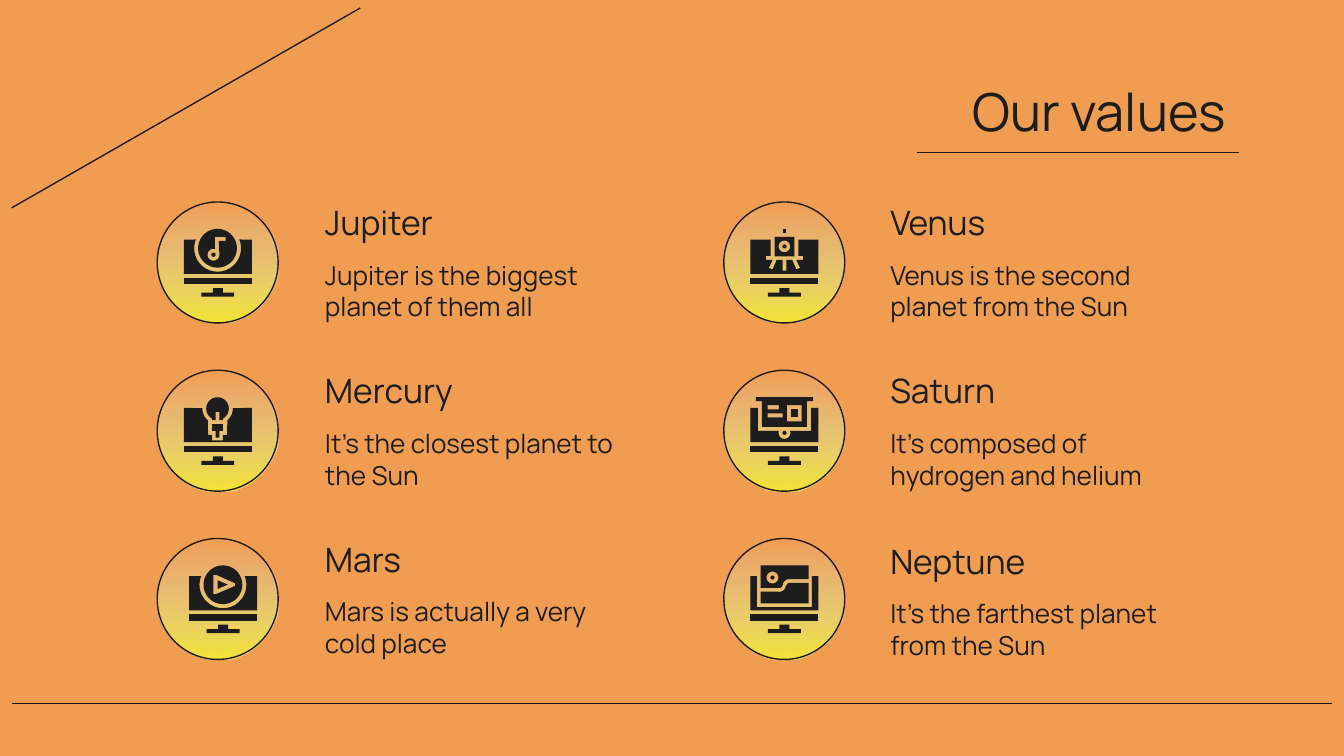
from math import cos, radians, sin

from lxml import etree
from pptx import Presentation
from pptx import util as u
from pptx.dml.color import RGBColor
from pptx.enum import shapes, text
from pptx.oxml.ns import qn

COLORS = {"back": "F19D51", "ink": "1D1D1D", "rule": "141414", "pale": "CCE9E9", "glow": "F4E533"}
FONT = "Manrope"
WIDTH = u.Inches(10)
HEIGHT = u.Emu(WIDTH * 9 // 16)
CELL = WIDTH / 100
ICON_SIDE = 5.02
ICON_UNITS = 50

VALUES = [
    [("Jupiter", "Jupiter is the biggest planet of them all", "music"),
     ("Mercury", "It’s the closest planet to the Sun", "bulb"),
     ("Mars", "Mars is actually a very cold place", "play")],
    [("Venus", "Venus is the second planet from the Sun", "easel"),
     ("Saturn", "It’s composed of hydrogen and helium", "board"),
     ("Neptune", "It’s the farthest planet from the Sun", "photo")],
]


def cells(count):
    """Turn grid cells into slide units."""
    return u.Emu(round(count * CELL))


def color(key):
    """Look up a colour by its role."""
    return RGBColor.from_string(COLORS[key])


def arc(x, y, radius, start=0, end=360):
    """Give the points of an arc, with angles running clockwise."""
    steps = max(6, round(abs(end - start) / 10))
    angles = [radians(start + (end - start) * i / steps) for i in range(steps + 1)]
    return [(x + radius * cos(a), y + radius * sin(a)) for a in angles]


def rect(left, top, right, bottom):
    """Give the corners of a rectangle."""
    return [(left, top), (left, bottom), (right, bottom), (right, top)]


def mirrored(half, axis=25.2):
    """Complete an outline with its reflection across a vertical axis."""
    return half + [(2 * axis - x, y) for x, y in reversed(half)]


def screen(notch):
    """Give a monitor panel whose top edge follows a notch from right to left."""
    return rect(0, 8, 50.4, 33.3) + notch


STAND = [[mirrored([(21.5, 44), (21.5, 47.3), (13, 47.3), (13, 50.2)])],
         [rect(0, 36.2, 50.4, 41)]]
BADGE = arc(25, 14.4, 14.4)
BADGE_SCREEN = screen(arc(25, 14.4, 17.4, -22, 202))

ICONS = {
    "music": [
        [BADGE, [(31, 6), (31, 9), (26, 9)] + arc(22, 19.2, 4.4, 0, 285) + [(23, 6)]],
        [arc(22, 19.2, 1.6)],
        [BADGE_SCREEN]],
    "play": [
        [BADGE, [(20, 7), (34, 13.3), (34, 15.3), (20, 21.3), (18, 21.3), (18, 7)]],
        [[(21, 11), (21, 17.5), (28.6, 14.3)]],
        [BADGE_SCREEN]],
    "bulb": [
        [arc(25, 8.5, 8.4, 120, 420) + [(29, 17), (26.4, 17), (26.4, 11), (23.6, 11), (23.6, 17), (21, 17)]],
        [mirrored([(21, 20), (21, 25), (23.6, 25), (23.6, 30)], 25)],
        [screen(arc(25, 8.5, 11.3, -2, 50)
                + mirrored([(32, 28), (29, 28), (29, 32)], 25)
                + arc(25, 8.5, 11.3, 130, 182))]],
    "easel": [
        [rect(23.8, 0, 26.6, 3)],
        [arc(25.2, 13, 1.5)],
        [rect(18, 6, 32.5, 20.3), arc(25.2, 13, 4.3)],
        [screen(mirrored([(35.5, 8), (35.5, 20), (39, 20), (39, 23), (34, 23),
                          (36.8, 29), (34, 30), (31, 23), (26.6, 23), (26.6, 31)]))]],
    "board": [
        [mirrored([(4, 0), (4, 3), (8.5, 3), (8.5, 22)]),
         rect(12.7, 6, 21, 9), rect(12.7, 12, 23.8, 15), rect(27, 6, 38, 18)],
        [rect(29.8, 9, 35, 15)],
        [arc(25.2, 26.5, 1.5)],
        [screen([(45, 8), (45, 25)] + arc(25.2, 26.5, 4.4, -20, 200) + [(5.6, 25), (5.6, 8)])]],
    "photo": [
        [screen([(45.6, 8), (45.6, 31), (4.8, 31), (4.8, 8)])],
        [arc(16.3, 9, 1.5)],
        [[(28.5, 13)] + arc(28.5, 15, 1.8, 270, 180) + arc(21.5, 15, 4.6, 0, 90)
         + [(7.6, 19.5), (7.6, 28.2), (43, 28.2), (43, 13)]],
        [[(7.6, 0), (7.6, 16.6)] + arc(21.8, 14.8, 1.8, 90, 0)
         + arc(28.5, 14.8, 4.6, 180, 270) + [(43, 10.2), (43, 0)], arc(16.3, 9, 4.4)]],
}


def add_words(slide, box, words, size, align=text.PP_ALIGN.LEFT):
    """Write one paragraph in the given box."""
    frame = slide.shapes.add_textbox(*map(cells, box)).text_frame
    frame.word_wrap = True
    frame.vertical_anchor = text.MSO_ANCHOR.MIDDLE
    for side in ("left", "right", "top", "bottom"):
        setattr(frame, f"margin_{side}", cells(1))
    paragraph = frame.paragraphs[0]
    paragraph.alignment = align
    run = paragraph.add_run()
    run.text = words
    run.font.name = FONT
    run.font.size = u.Pt(size)
    run.font.color.rgb = color("ink")


def add_rule(slide, start, end, key="ink"):
    """Draw a thin straight rule."""
    rule = slide.shapes.add_connector(shapes.MSO_CONNECTOR.STRAIGHT, *map(cells, start + end))
    rule.line.color.rgb = color(key)
    rule.line.width = u.Pt(0.75)
    etree.SubElement(rule._element.spPr, qn("a:effectLst"))


def add_disc(slide, box):
    """Draw the outlined disc that fades in from clear to yellow."""
    disc = slide.shapes.add_shape(shapes.MSO_SHAPE.OVAL, *map(cells, box))
    disc.shadow.inherit = False
    disc.fill.gradient()
    disc.fill.gradient_angle = 270
    for stop, key, place in zip(disc.fill.gradient_stops, ("pale", "glow"), (0, 1)):
        stop.color.rgb = color(key)
        stop.position = place
    clear = next(disc._element.spPr.iter(qn("a:srgbClr")))
    etree.SubElement(clear, qn("a:alpha"), val="0")
    disc.line.color.rgb = color("ink")
    disc.line.width = u.Pt(0.75)


def add_icon(slide, box, icon):
    """Draw a monitor icon inside the given box."""
    left, top, side, _ = box
    unit = side / ICON_UNITS
    for part in STAND + ICONS[icon]:
        outlines = [[(cells(left + x * unit), cells(top + y * unit)) for x, y in outline]
                    for outline in part]
        builder = slide.shapes.build_freeform(*outlines[0][0])
        builder.add_line_segments(outlines[0][1:])
        for hole in outlines[1:]:
            builder.move_to(*hole[0])
            builder.add_line_segments(hole[1:])
        piece = builder.convert_to_shape()
        piece.shadow.inherit = False
        piece.fill.solid()
        piece.fill.fore_color.rgb = color("ink")
        piece.line.fill.background()


def add_value(slide, box, value, icon_shift=0, text_shift=0):
    """Place one value: disc, icon, heading and sentence."""
    left, top, width, height = box
    heading, sentence, icon = value
    text_width = 23.6
    text_left = left + width - text_width
    add_disc(slide, (left, top, height, height))
    add_icon(slide, (left + 1.98 + icon_shift, top + 2, ICON_SIDE, ICON_SIDE), icon)
    add_words(slide, (text_left, top - 0.35 + text_shift, text_width, 3.7), heading, 18)
    add_words(slide, (text_left, top + 3.95 + text_shift, text_width, 5.3), sentence, 14)


def add_header(slide, box):
    """Place the title and the rule below it."""
    left, top, width, height = box
    add_words(slide, box, "Our values", 28, text.PP_ALIGN.RIGHT)
    add_rule(slide, (left + 18.2, top + height - 0.05), (left + width, top + height - 0.05))


def add_frame(slide):
    """Place the background and its two long rules."""
    slide.background.fill.solid()
    slide.background.fill.fore_color.rgb = color("back")
    add_rule(slide, (0.9, 52.33), (99.1, 52.33), "rule")
    add_rule(slide, (26.8, 0.6), (0.87, 15.47))


def main():
    """Build the slide of values."""
    deck = Presentation()
    deck.slide_width, deck.slide_height = WIDTH, HEIGHT
    slide = deck.slides.add_slide(deck.slide_layouts[6])
    add_frame(slide)
    add_header(slide, (50, 5.1, 42.2, 6.3))
    for left, width, column in zip((11.7, 53.86), (35.1, 35), VALUES):
        for row, value in enumerate(column):
            add_value(slide, (left, 15.03 + 12.52 * row, width, 9), value,
                      icon_shift=0.4 if value[0] == "Mars" else 0,
                      text_shift=0.15 if value[0] == "Neptune" else 0)
    deck.save("out.pptx")


if __name__ == "__main__":
    main()
